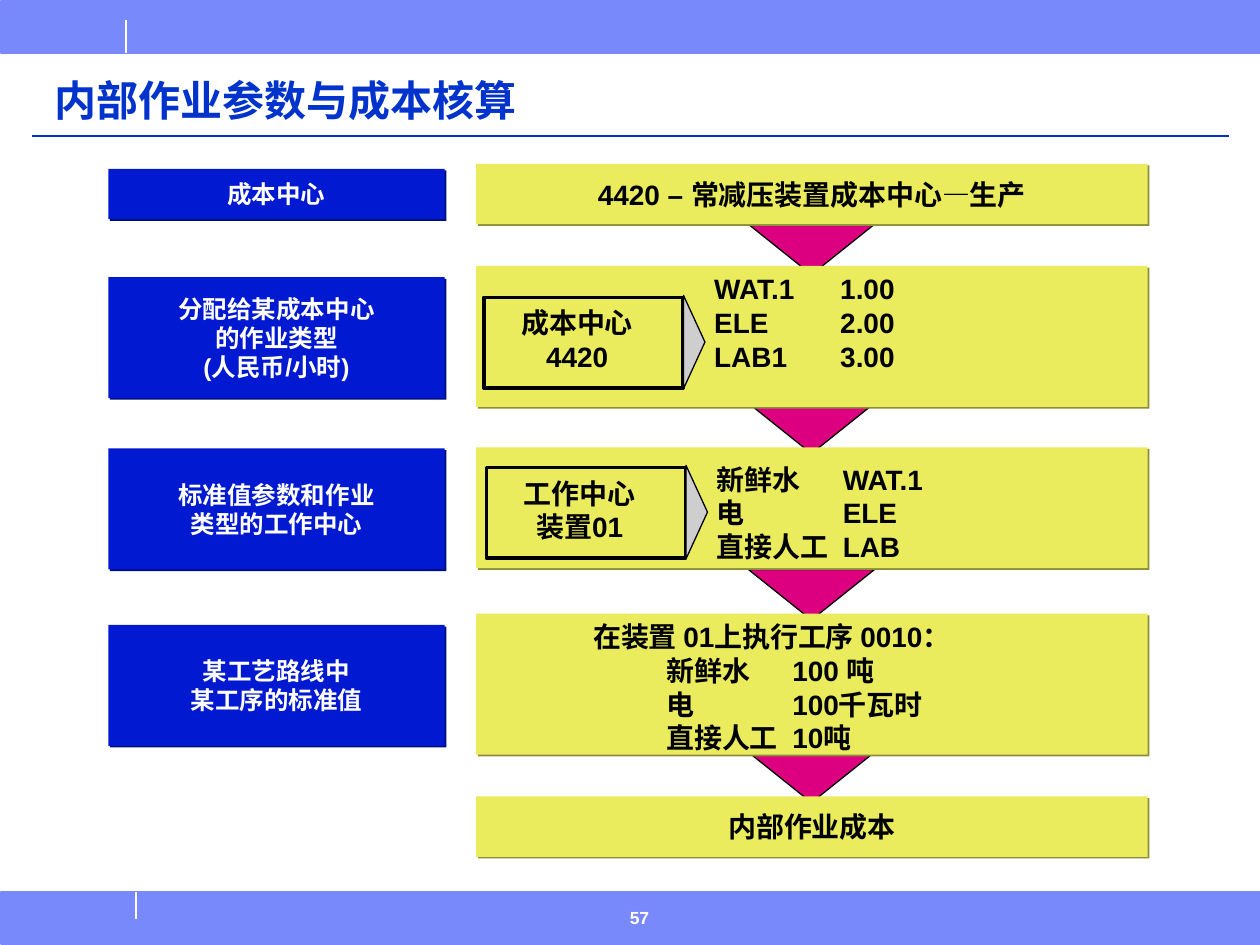
from dataclasses import dataclass

from lxml import etree
from pptx import Presentation
from pptx.dml.color import RGBColor
from pptx.enum.shapes import MSO_CONNECTOR, MSO_SHAPE
from pptx.enum.text import MSO_ANCHOR, MSO_AUTO_SIZE, PP_ALIGN
from pptx.oxml.ns import qn
from pptx.shapes.autoshape import Shape
from pptx.slide import Slide
from pptx.text.text import TextFrame
from pptx.util import Inches, Pt

RECTANGLE = MSO_SHAPE.RECTANGLE
TRIANGLE = MSO_SHAPE.ISOSCELES_TRIANGLE
STRAIGHT = MSO_CONNECTOR.STRAIGHT
LEFT, CENTER = PP_ALIGN.LEFT, PP_ALIGN.CENTER
TOP, MIDDLE, BOTTOM = MSO_ANCHOR.TOP, MSO_ANCHOR.MIDDLE, MSO_ANCHOR.BOTTOM
NO_AUTOFIT = MSO_AUTO_SIZE.NONE

BLACK = RGBColor(0x00, 0x00, 0x00)
WHITE = RGBColor(0xFF, 0xFF, 0xFF)
BAND_BLUE = RGBColor(0x78, 0x89, 0xFB)
TITLE_BLUE = RGBColor(0x00, 0x33, 0xCC)
LABEL_BLUE = RGBColor(0x00, 0x19, 0xD1)
LABEL_SHADOW = RGBColor(0x00, 0x0E, 0x7C)
YELLOW = RGBColor(0xEA, 0xEC, 0x5E)
YELLOW_SHADOW = RGBColor(0x8B, 0x8D, 0x38)
MAGENTA = RGBColor(0xDC, 0x00, 0x81)
GREY = RGBColor(0xCE, 0xCE, 0xCE)

LABEL_LEFT, LABEL_WIDTH = 0.86, 2.67
PANEL_LEFT, PANEL_WIDTH = 3.78, 5.33
ARROW_LEFT, ARROW_WIDTH, ARROW_HEIGHT = 5.94, 1, 0.4


@dataclass
class Box:
    top: float
    height: float
    text: str = ""


@dataclass
class Note:
    left: float
    top: float
    width: float
    height: float
    text: str


@dataclass
class Source:
    left: float
    top: float
    text: str


@dataclass
class Rule:
    left: float
    top: float
    right: float
    bottom: float
    color: RGBColor


RULES = [
    Rule(1, 0.16, 1, 0.42, WHITE),
    Rule(1.08, 7.08, 1.08, 7.29, WHITE),
    Rule(0.25, 1.08, 9.75, 1.08, TITLE_BLUE),
]
ARROW_TOPS = [1.78, 3.2, 4.52, 5.97]
LABELS = [
    Box(1.34, 0.4, "成本中心"),
    Box(2.2, 0.96, "分配给某成本中心\n的作业类型\n(人民币/小时)"),
    Box(3.56, 0.96, "标准值参数和作业\n类型的工作中心"),
    Box(4.96, 0.96, "某工艺路线中\n某工序的标准值"),
]
PANELS = [
    Box(1.3, 0.48, "4420 – 常减压装置成本中心—生产"),
    Box(2.11, 1.12),
    Box(3.55, 0.96),
    Box(4.87, 1.12),
    Box(6.32, 0.48, "内部作业成本"),
]
NOTES = [
    Note(5.57, 2.11, 1.68, 0.9, "WAT.1\t1.00\nELE\t2.00\nLAB1\t3.00"),
    Note(5.59, 3.62, 1.89, 0.9, "新鲜水\tWAT.1\n电\tELE\n直接人工\tLAB"),
    Note(4.61, 4.87, 3.26, 0.37, "在装置 01上执行工序 0010："),
    Note(5.19, 5.14, 3.67, 0.9, "新鲜水\t100 吨\n电\t100千瓦时\n直接人工\t10吨"),
]
SOURCES = [
    Source(3.84, 2.36, "成本中心\n4420"),
    Source(3.86, 3.71, "工作中心\n装置01"),
]


def write_text(frame: TextFrame, text: str, size: float, color: RGBColor,
               alignment: PP_ALIGN, anchor: MSO_ANCHOR, font_name: str = "Arial") -> None:
    frame.text = text
    frame.word_wrap = False
    frame.auto_size = NO_AUTOFIT
    frame.vertical_anchor = anchor
    for paragraph in frame.paragraphs:
        paragraph.alignment = alignment
        if "\t" in text:
            properties = paragraph._p.get_or_add_pPr()
            tab_list = etree.SubElement(properties, qn("a:tabLst"))
            etree.SubElement(tab_list, qn("a:tab"), pos=str(Inches(1)), algn="l")
        font = paragraph.font
        font.name, font.size, font.bold = font_name, Pt(size), True
        font.color.rgb = color


def add_filled_shape(slide: Slide, kind: MSO_SHAPE, left: float, top: float, width: float,
                     height: float, fill: RGBColor | None, line: RGBColor | None = None,
                     line_width: float = 0.75) -> Shape:
    shape = slide.shapes.add_shape(kind, Inches(left), Inches(top), Inches(width), Inches(height))
    shape.shadow.inherit = False
    if fill is None:
        shape.fill.background()
    else:
        shape.fill.solid()
        shape.fill.fore_color.rgb = fill
    if line is None:
        shape.line.fill.background()
    else:
        shape.line.color.rgb = line
        shape.line.width = Pt(line_width)
    return shape


def add_box(slide: Slide, box: Box, left: float, width: float, fill: RGBColor,
            shadow_color: RGBColor, size: float, text_color: RGBColor) -> None:
    shape = add_filled_shape(slide, RECTANGLE, left, box.top, width, box.height, fill)
    effects = shape._element.spPr.find(qn("a:effectLst"))
    shadow = etree.SubElement(effects, qn("a:outerShdw"), dist=str(Pt(1.4)), dir="2700000",
                              algn="ctr", rotWithShape="0")
    etree.SubElement(shadow, qn("a:srgbClr"), val=str(shadow_color))
    if box.text:
        write_text(shape.text_frame, box.text, size, text_color, CENTER, MIDDLE)


def add_note(slide: Slide, note: Note, size: float = 16, color: RGBColor = BLACK,
             alignment: PP_ALIGN = LEFT) -> None:
    text_box = slide.shapes.add_textbox(Inches(note.left), Inches(note.top),
                                        Inches(note.width), Inches(note.height))
    write_text(text_box.text_frame, note.text, size, color, alignment, TOP)
    text_box.text_frame.word_wrap = True


def add_source(slide: Slide, source: Source) -> None:
    add_note(slide, Note(source.left + 0.1, source.top + 0.02, 1.28, 0.64, source.text),
             alignment=CENTER)
    add_filled_shape(slide, RECTANGLE, source.left, source.top, 1.58, 0.72, None, BLACK, 2)
    pointer = add_filled_shape(slide, TRIANGLE, source.left + 1.3, source.top + 0.27,
                               0.74, 0.17, GREY, BLACK)
    pointer.rotation = 90


def add_rule(slide: Slide, rule: Rule) -> None:
    connector = slide.shapes.add_connector(STRAIGHT, Inches(rule.left), Inches(rule.top),
                                           Inches(rule.right), Inches(rule.bottom))
    connector.line.color.rgb = rule.color
    connector.line.width = Pt(1)
    etree.SubElement(connector._element.spPr, qn("a:effectLst"))


def add_title(slide: Slide, text: str) -> None:
    title = slide.shapes.title
    title.left, title.top = Inches(0.33), Inches(0.5)
    title.width, title.height = Inches(9.18), Inches(0.55)
    write_text(title.text_frame, text, 24, TITLE_BLUE, LEFT, BOTTOM, "Times New Roman")
    title.text_frame.word_wrap = True
    title.text_frame.paragraphs[0].line_spacing = 0.9


def main() -> None:
    presentation = Presentation()
    presentation.slide_width, presentation.slide_height = Inches(10), Inches(7.5)
    slide = presentation.slides.add_slide(presentation.slide_layouts[5])
    add_title(slide, "内部作业参数与成本核算")
    for band_top in (0.01, 7.08):
        add_filled_shape(slide, RECTANGLE, 0.01, band_top, 9.99, 0.41, BAND_BLUE, BAND_BLUE, 1)
    for rule in RULES:
        add_rule(slide, rule)
    for arrow_top in ARROW_TOPS:
        arrow = add_filled_shape(slide, TRIANGLE, ARROW_LEFT, arrow_top, ARROW_WIDTH,
                                 ARROW_HEIGHT, MAGENTA, BLACK)
        arrow.rotation = 180
    for label in LABELS:
        add_box(slide, label, LABEL_LEFT, LABEL_WIDTH, LABEL_BLUE, LABEL_SHADOW, 14, WHITE)
    for panel in PANELS:
        add_box(slide, panel, PANEL_LEFT, PANEL_WIDTH, YELLOW, YELLOW_SHADOW, 16, BLACK)
    for note in NOTES:
        add_note(slide, note)
    for source in SOURCES:
        add_source(slide, source)
    add_note(slide, Note(4.9, 7.15, 0.83, 0.35, "57"), 10, WHITE)
    presentation.save("out.pptx")


if __name__ == "__main__":
    main()
